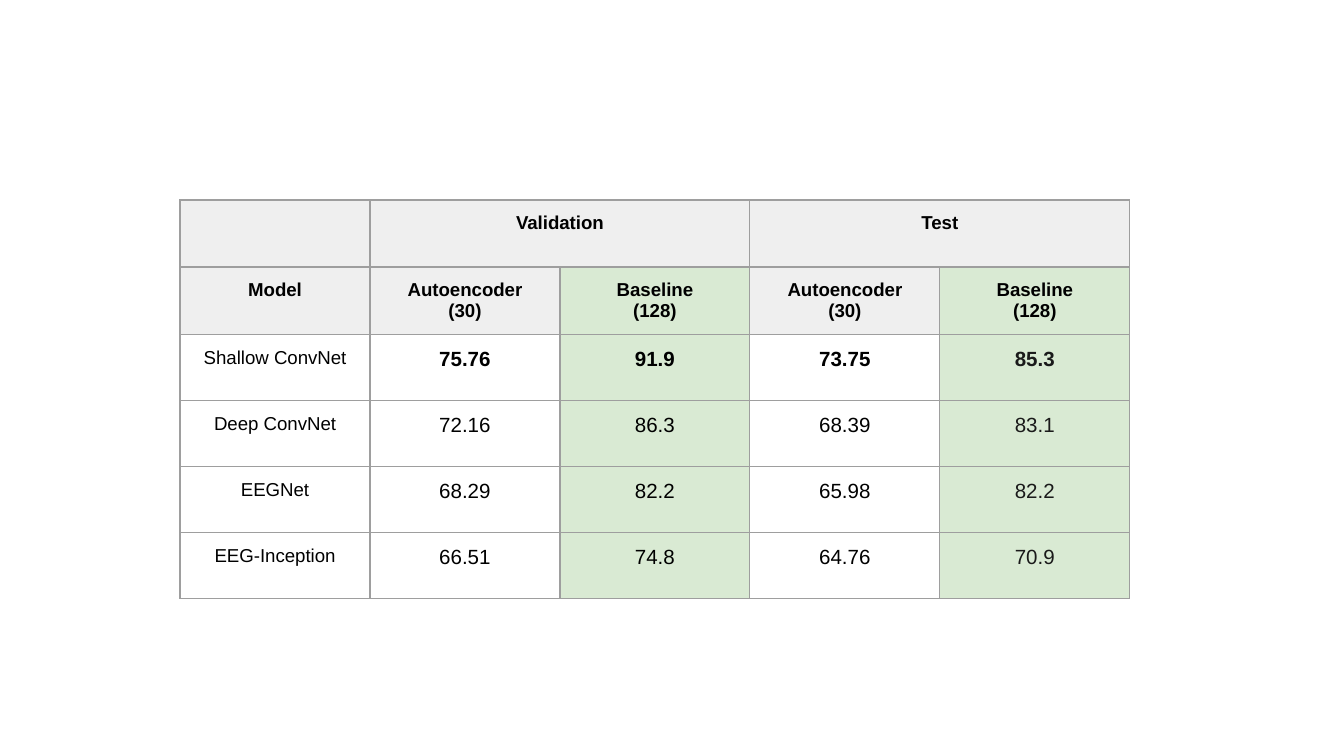
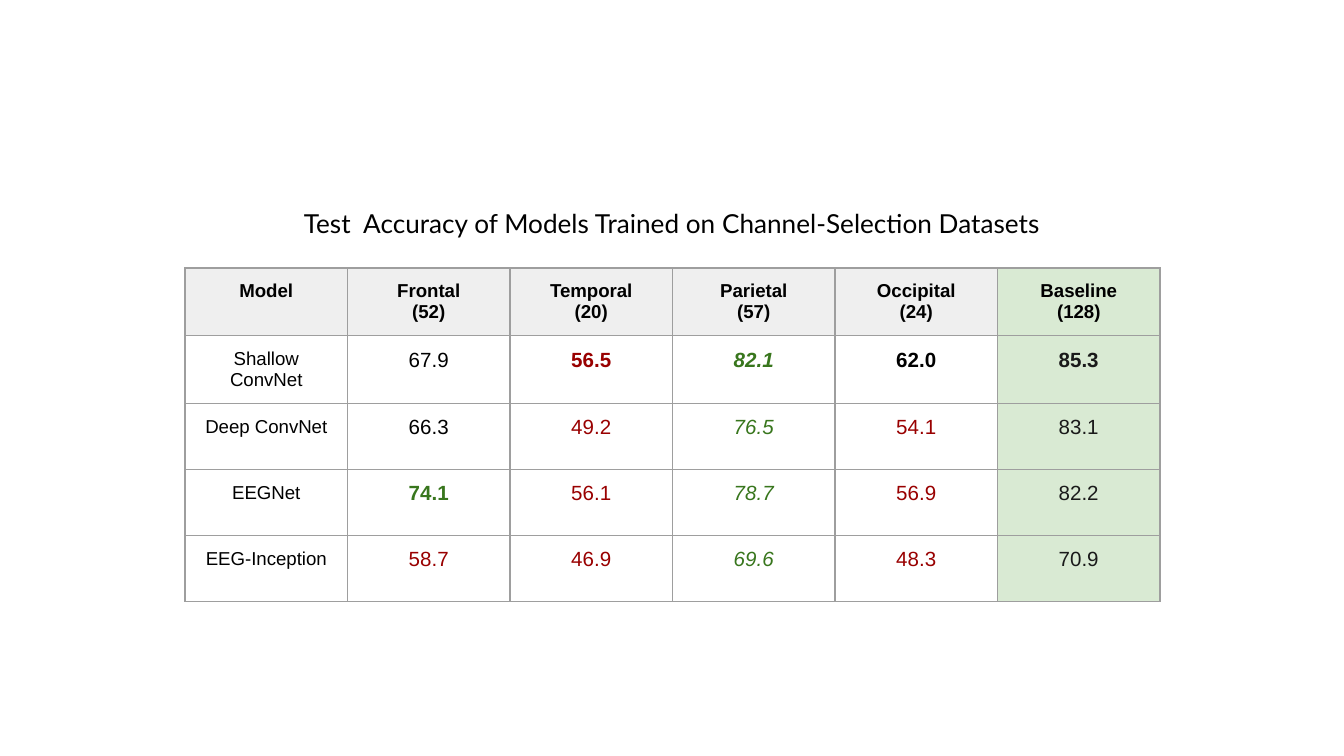
from dataclasses import dataclass

from lxml import etree
from pptx import Presentation
from pptx import util as u
from pptx.dml.color import RGBColor
from pptx.enum import text
from pptx.oxml.ns import qn

# Figures may carry marks after a bar: r red, g green, b bold, i italic.
# None continues the merged cell to its left.
SLIDES = [
    {
        "title": None,
        "left": 180, "top": 200, "col": 190,
        "heads": [
            ["", "Validation", None, "Test", None],
            ["Model", "Autoencoder\n(30)", "Baseline\n(128)",
             "Autoencoder\n(30)", "Baseline\n(128)"],
        ],
        "body": [
            ["Shallow ConvNet", "75.76|b", "91.9|b", "73.75|b", "85.3|b"],
            ["Deep ConvNet", "72.16", "86.3", "68.39", "83.1"],
            ["EEGNet", "68.29", "82.2", "65.98", "82.2"],
            ["EEG-Inception", "66.51", "74.8", "64.76", "70.9"],
        ],
    },
    {
        "title": "Test  Accuracy of Models Trained on Channel-Selection Datasets",
        "left": 185, "top": 268, "col": 162.5,
        "heads": [
            ["Model", "Frontal\n(52)", "Temporal\n(20)", "Parietal\n(57)",
             "Occipital\n(24)", "Baseline\n(128)"],
        ],
        "body": [
            ["Shallow ConvNet", "67.9", "56.5|rb", "82.1|gbi", "62.0|b", "85.3|b"],
            ["Deep ConvNet", "66.3", "49.2|r", "76.5|gi", "54.1|r", "83.1"],
            ["EEGNet", "74.1|gb", "56.1|r", "78.7|gi", "56.9|r", "82.2"],
            ["EEG-Inception", "58.7|r", "46.9|r", "69.6|gi", "48.3|r", "70.9"],
        ],
    },
]
TITLE_BOX = (172, 194, 1000, 59)
ROW, INSET = 66, 13


@dataclass(frozen=True)
class Theme:
    ink: str = "000000"
    soft: str = "1A1A1A"
    red: str = "990000"
    green: str = "38761D"
    head: str = "EFEFEF"
    base: str = "D9EAD3"
    rule: str = "9E9E9E"
    font: str = "Arial"
    title_font: str = "Lato"
    label: int = 10
    figure: int = 11
    title: int = 14


T = Theme()


def px(n):
    return round(n * u.Inches(10) / 1344)


def write(frame, words, font, size, color, bold=False, italic=False):
    frame.text = words
    for para in frame.paragraphs:
        para.alignment = text.PP_ALIGN.CENTER
        for run in para.runs:
            face = run.font
            face.name, face.size = font, u.Pt(size)
            face.bold, face.italic = bold, italic
            face.color.rgb = RGBColor.from_string(color)


def pad(box):
    box.margin_left = box.margin_right = px(INSET)
    box.margin_top = box.margin_bottom = px(INSET)


def rule(cell):
    props = cell._tc.get_or_add_tcPr()
    for side in ("lnL", "lnR", "lnT", "lnB"):
        line = etree.SubElement(props, qn(f"a:{side}"), w=str(u.Pt(0.75)))
        fill = etree.SubElement(line, qn("a:solidFill"))
        etree.SubElement(fill, qn("a:srgbClr"), val=T.rule)


def paint(cell, color):
    if color:
        cell.fill.solid()
        cell.fill.fore_color.rgb = RGBColor.from_string(color)
    else:
        cell.fill.background()


def add_title(slide, words):
    box = slide.shapes.add_textbox(*map(px, TITLE_BOX))
    frame = box.text_frame
    frame.word_wrap = True
    frame.auto_size = text.MSO_AUTO_SIZE.SHAPE_TO_FIT_TEXT
    pad(frame)
    write(frame, words, T.title_font, T.title, T.ink)


def add_grid(slide, data):
    heads = data["heads"]
    rows = heads + data["body"]
    names = heads[-1]
    count = len(names)
    grid = slide.shapes.add_table(
        len(rows), count, px(data["left"]), px(data["top"]),
        px(data["col"] * count), px(ROW * len(rows))).table
    grid.first_row = grid.horz_banding = False
    for col in grid.columns:
        col.width = px(data["col"])
    for row in grid.rows:
        row.height = px(ROW)

    for r, row in enumerate(rows):
        for c, entry in enumerate(row):
            cell = grid.cell(r, c)
            is_head = r < len(heads)
            is_base = names[c].startswith("Baseline") and r >= len(heads) - 1
            pad(cell)
            rule(cell)
            paint(cell, T.base if is_base else T.head if is_head else None)
            if entry is None:
                grid.cell(r, c - 1).merge(cell)
                continue
            words, _, marks = entry.partition("|")
            color = T.soft if not is_head and c == count - 1 else T.ink
            color = {"r": T.red, "g": T.green}.get(marks[:1], color)
            size = T.label if is_head or c == 0 else T.figure
            write(cell.text_frame, words, T.font, size, color,
                  is_head or "b" in marks, "i" in marks)


def main():
    deck = Presentation()
    deck.slide_width, deck.slide_height = px(1344), px(756)
    for data in SLIDES:
        slide = deck.slides.add_slide(deck.slide_layouts[6])
        add_grid(slide, data)
        if data["title"]:
            add_title(slide, data["title"])
    deck.save("out.pptx")


if __name__ == "__main__":
    main()
